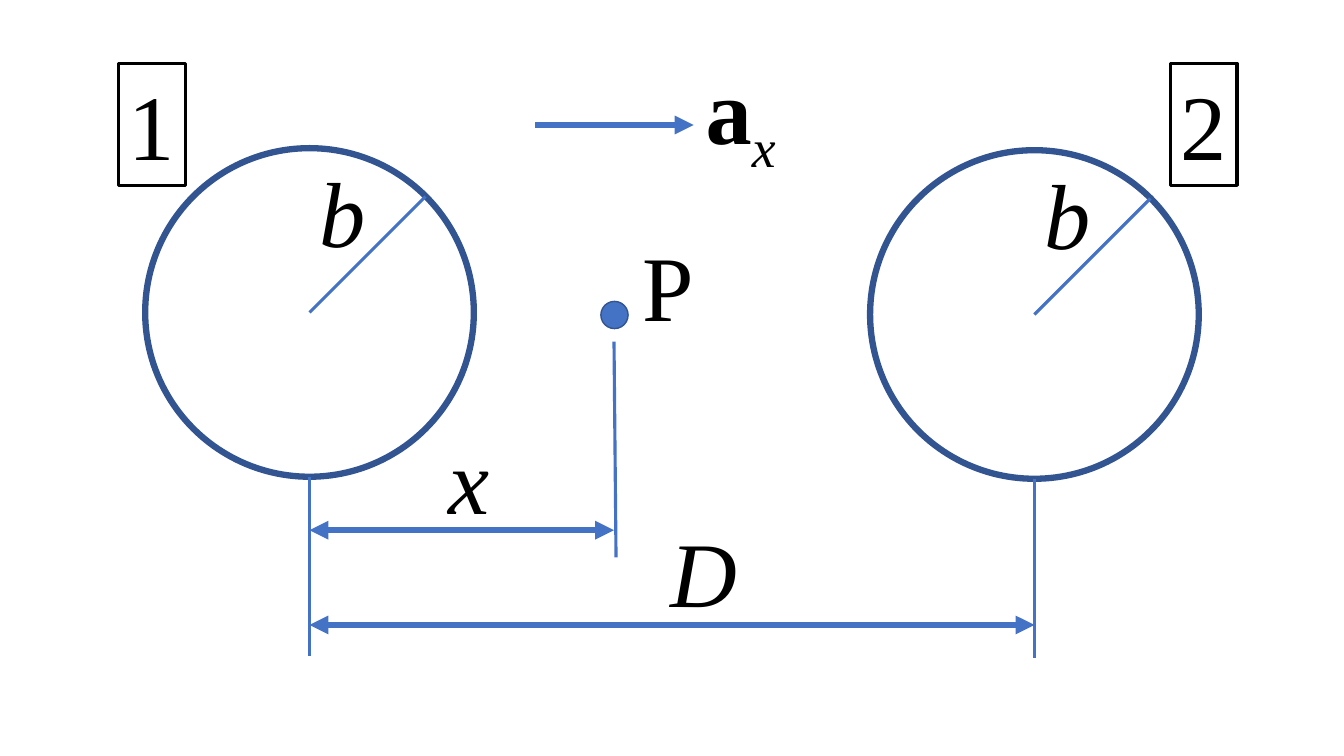
from lxml.etree import SubElement
from pptx import Presentation
from pptx.dml.color import RGBColor
from pptx.enum.shapes import MSO_CONNECTOR, MSO_SHAPE
from pptx.enum.text import MSO_AUTO_SIZE
from pptx.oxml.ns import qn
from pptx.util import Pt

PX = 9144  # 100 px to the inch
BLUE = RGBColor(0x44, 0x72, 0xC4)
NAVY = RGBColor(0x32, 0x54, 0x91)
BLACK = RGBColor(0, 0, 0)
FONT = "Times New Roman"
THIN, THICK = 2.25, 4.5
HIGH = 121  # height of a label


def emu(*sizes):
    return [size * PX for size in sizes]


def add_line(shapes, x1, y1, x2, y2, width=THIN, ends=()):
    line = shapes.add_connector(MSO_CONNECTOR.STRAIGHT, *emu(x1, y1, x2, y2))
    line.line.color.rgb = BLUE
    line.line.width = Pt(width)
    for end in ends:
        SubElement(line.line._get_or_add_ln(), qn(f"a:{end}"), type="triangle")
    SubElement(line._element.spPr, qn("a:effectLst"))


def add_disc(shapes, x, y, size, width, fill=None):
    disc = shapes.add_shape(MSO_SHAPE.OVAL, *emu(x, y, size, size))
    disc.shadow.inherit = False
    if fill is None:
        disc.fill.background()
    else:
        disc.fill.solid()
        disc.fill.fore_color.rgb = fill
    disc.line.color.rgb = NAVY
    disc.line.width = Pt(width)


def add_run(para, text, bold=False, italic=False, sub=False):
    run = para.add_run()
    run.text = text
    font = run.font
    font.name, font.size = FONT, Pt(66)
    font.bold, font.italic = bold, italic
    font.color.rgb = BLACK
    if sub:
        run._r.get_or_add_rPr().set("baseline", "-25000")


def add_label(shapes, x, y, width, text="", **style):
    box = shapes.add_textbox(*emu(x, y, width, HIGH))
    frame = box.text_frame
    frame.word_wrap = False
    frame.auto_size = MSO_AUTO_SIZE.SHAPE_TO_FIT_TEXT
    if text:
        add_run(frame.paragraphs[0], text, **style)
    return box


def add_sphere(shapes, x, y, size):
    """Circle with its radius b, and the drop line below it."""
    group = shapes.add_group_shape().shapes
    mid, rise = size // 2, 115
    cx, cy = x + mid, y + mid
    add_disc(group, x, y, size, THICK)
    add_line(group, cx, cy, cx + rise, cy - rise)
    add_label(group, cx, y + 2, 69, "b", italic=True)
    add_line(shapes, cx, y + size, cx, y + size + 178)


def add_number(shapes, x, y, text):
    box = add_label(shapes, x, y, 66, text)
    box.line.color.rgb = BLACK
    box.line.width = Pt(THIN)


def add_span(shapes, x1, x2, y, name, x, top, width):
    """Dimension arrow with its name above."""
    add_line(shapes, x1, y, x2, y, THICK, ("headEnd", "tailEnd"))
    add_label(shapes, x, top, width, name, italic=True)


def add_axis(shapes, x, y):
    """Unit vector along x."""
    add_line(shapes, x, y, x + 157, y, THICK, ("tailEnd",))
    para = add_label(shapes, x + 159, y - 77, 97).text_frame.paragraphs[0]
    add_run(para, "a", bold=True)
    add_run(para, "x", italic=True, sub=True)


def add_point(shapes, x, y):
    """Field point P with its drop line."""
    add_line(shapes, x + 13, y + 40, x + 15, y + 254)
    add_disc(shapes, x, y, 27, 1, BLUE)
    add_label(shapes, x + 31, y - 77, 72, "P")


def main():
    deck = Presentation()
    deck.slide_width, deck.slide_height = emu(1333, 750)
    shapes = deck.slides.add_slide(deck.slide_layouts[6]).shapes

    # Spheres and their numbers
    for x, y in ((144, 147), (863, 149)):
        add_sphere(shapes, x, y, 326)
    for x, text in ((118, "1"), (1161, "2")):
        add_number(shapes, x, 63, text)

    # Distances from the first sphere
    add_span(shapes, 307, 609, 526, "x", 435, 414, 61)
    add_span(shapes, 307, 1026, 620, "D", 655, 506, 87)

    # Direction and point
    add_axis(shapes, 531, 124)
    add_point(shapes, 596, 299)
    deck.save("out.pptx")


if __name__ == "__main__":
    main()
